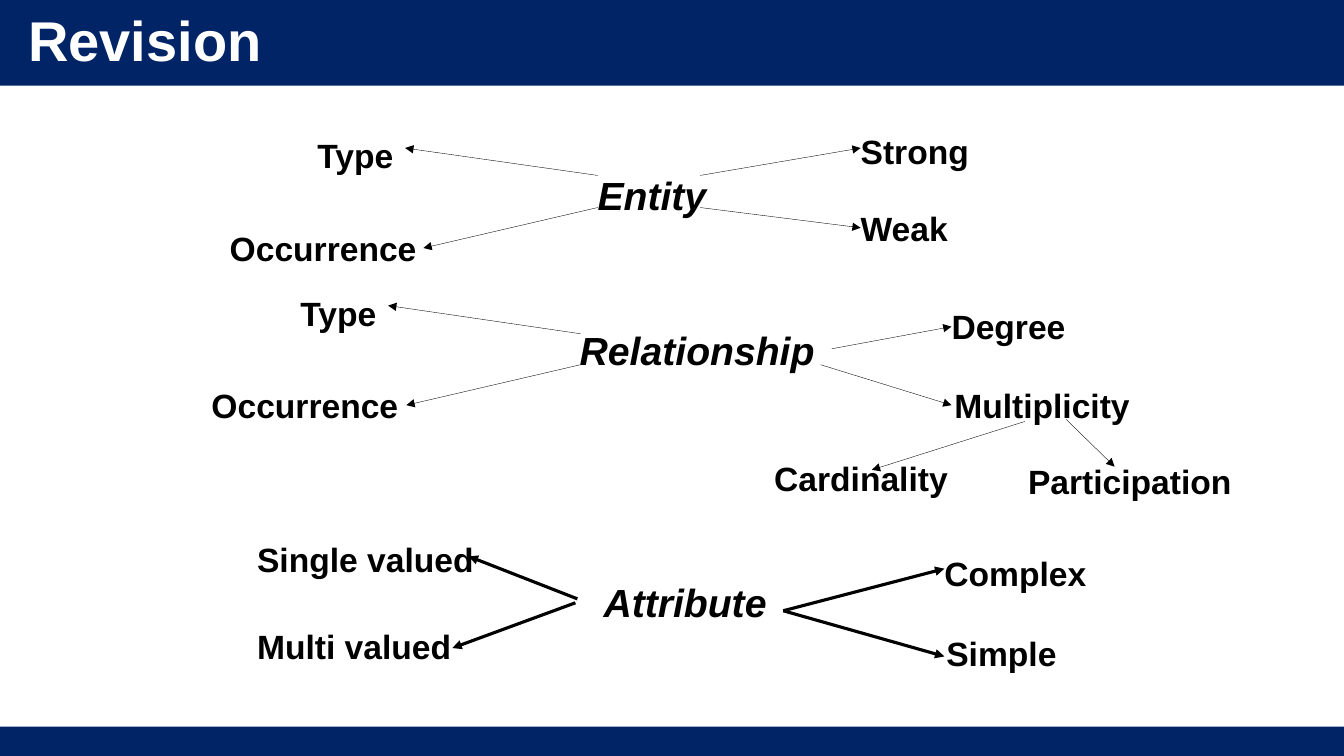
from dataclasses import dataclass

import pptx
import pptx.dml.color
import pptx.enum.shapes
import pptx.enum.text
import pptx.oxml
import pptx.oxml.ns
import pptx.util

Cm = pptx.util.Cm
Pt = pptx.util.Pt
RGB = pptx.dml.color.RGBColor


@dataclass(frozen=True)
class Theme:
    font: str = "Arial"
    band: RGB = RGB(0x00, 0x24, 0x66)
    heading: RGB = RGB(0xFF, 0xFF, 0xFF)
    ink: RGB = RGB(0x00, 0x00, 0x00)
    title_size: int = 40
    concept_size: int = 28
    term_size: int = 24
    thin: float = 0.25
    thick: float = 2.25


WIDTH, HEIGHT = 33.87, 19.05

# Each concept: name, left, top, width
CONCEPTS = [
    ("Entity", 15.06, 4.32, 3.94),
    ("Relationship", 14.61, 8.23, 6.07),
    ("Attribute", 15.21, 14.58, 5.13),
]

# Each term: wording, left, top, width
TERMS = [
    ("Type", 8, 3.4, 2.67),
    ("Occurrence", 5.79, 5.74, 5.44),
    ("Strong", 21.69, 3.3, 5.05),
    ("Weak", 21.69, 5.23, 5.05),
    ("Type", 7.57, 7.39, 2.67),
    ("Occurrence", 5.33, 9.7, 5.44),
    ("Degree", 23.98, 7.7, 5.84),
    ("Multiplicity", 24.05, 9.7, 4.83),
    ("Cardinality", 19.51, 11.53, 4.95),
    ("Participation", 25.91, 11.61, 6.17),
    ("Single valued", 6.48, 13.59, 6.63),
    ("Multi valued", 6.48, 15.77, 6.63),
    ("Complex", 23.8, 13.94, 5.92),
    ("Simple", 23.85, 15.95, 5.92),
]

# Each arrow: start point, end point
THIN_ARROWS = [
    ((17.65, 4.42), (21.69, 3.73)),
    ((17.65, 5.23), (21.69, 5.74)),
    ((15.06, 5.23), (10.67, 6.25)),
    ((15.06, 4.42), (10.21, 3.73)),
    ((14.63, 9.19), (10.24, 10.21)),
    ((14.63, 8.41), (9.78, 7.7)),
    ((20.96, 8.79), (23.98, 8.23)),
    ((20.68, 9.19), (23.98, 10.21)),
    ((25.83, 10.62), (21.97, 11.84)),
    ((26.87, 10.57), (28.09, 11.76)),
]
THICK_ARROWS = [
    ((19.74, 15.39), (23.8, 14.33)),
    ((19.74, 15.39), (23.8, 16.54)),
    ((14.55, 15.09), (11.81, 14.02)),
    ((14.5, 15.19), (11.4, 16.33)),
]


class ConceptSlide:
    def __init__(self, slide, theme):
        self.slide = slide
        self.shapes = slide.shapes
        self.theme = theme

    def style(self, paragraph, size, color, italic=False):
        font = paragraph.font
        font.name = self.theme.font
        font.size = Pt(size)
        font.bold = True
        font.italic = italic
        font.color.rgb = color

    def band(self, top, height):
        """Draw a full-width bar."""
        bar = self.shapes.add_shape(
            pptx.enum.shapes.MSO_SHAPE.RECTANGLE, 0, Cm(top), Cm(WIDTH), Cm(height))
        bar.shadow.inherit = False
        bar.fill.solid()
        bar.fill.fore_color.rgb = self.theme.band
        bar.line.fill.background()

    def title(self, wording):
        """Fill the title placeholder and bring it in front of the bands."""
        heading = self.shapes.title
        heading.left, heading.top = Cm(0.46), Cm(0.36)
        heading.width, heading.height = Cm(19.86), Cm(1.45)
        frame = heading.text_frame
        frame.text = wording
        frame.auto_size = pptx.enum.text.MSO_AUTO_SIZE.NONE
        frame.vertical_anchor = pptx.enum.text.MSO_ANCHOR.MIDDLE
        paragraph = frame.paragraphs[0]
        paragraph.alignment = pptx.enum.text.PP_ALIGN.LEFT
        paragraph.line_spacing = 0.9
        self.style(paragraph, self.theme.title_size, self.theme.heading)
        self.shapes._spTree.append(heading._element)

    def label(self, wording, left, top, width, size, italic=False):
        height = 1.2 * Pt(size)
        box = self.shapes.add_textbox(Cm(left), Cm(top), Cm(width), int(height))
        frame = box.text_frame
        frame.text = wording
        frame.word_wrap = True
        frame.auto_size = pptx.enum.text.MSO_AUTO_SIZE.SHAPE_TO_FIT_TEXT
        frame.margin_left = frame.margin_right = 0
        frame.margin_top = frame.margin_bottom = 0
        self.style(frame.paragraphs[0], size, self.theme.ink, italic)

    def arrow(self, start, end, weight):
        connector = self.shapes.add_connector(
            pptx.enum.shapes.MSO_CONNECTOR.STRAIGHT, *map(Cm, start + end))
        connector.line.color.rgb = self.theme.ink
        connector.line.width = Pt(weight)
        qn = pptx.oxml.ns.qn
        head = pptx.oxml.parse_xml(
            f'<a:tailEnd {pptx.oxml.ns.nsdecls("a")} type="triangle"/>')
        properties = connector._element.spPr
        properties.find(qn("a:ln")).append(head)
        properties.append(properties.makeelement(qn("a:effectLst"), {}))


def main():
    deck = pptx.Presentation()
    deck.slide_width, deck.slide_height = Cm(WIDTH), Cm(HEIGHT)
    theme = Theme()
    title_only = deck.slide_layouts[5]
    revision = ConceptSlide(deck.slides.add_slide(title_only), theme)

    revision.band(0, 2.16)
    revision.band(HEIGHT - 0.74, 0.74)
    revision.title("Revision")
    for concept in CONCEPTS:
        revision.label(*concept, theme.concept_size, italic=True)
    for term in TERMS:
        revision.label(*term, theme.term_size)
    for arrows, weight in ((THIN_ARROWS, theme.thin), (THICK_ARROWS, theme.thick)):
        for start, end in arrows:
            revision.arrow(start, end, weight)

    deck.save("out.pptx")


if __name__ == "__main__":
    main()
